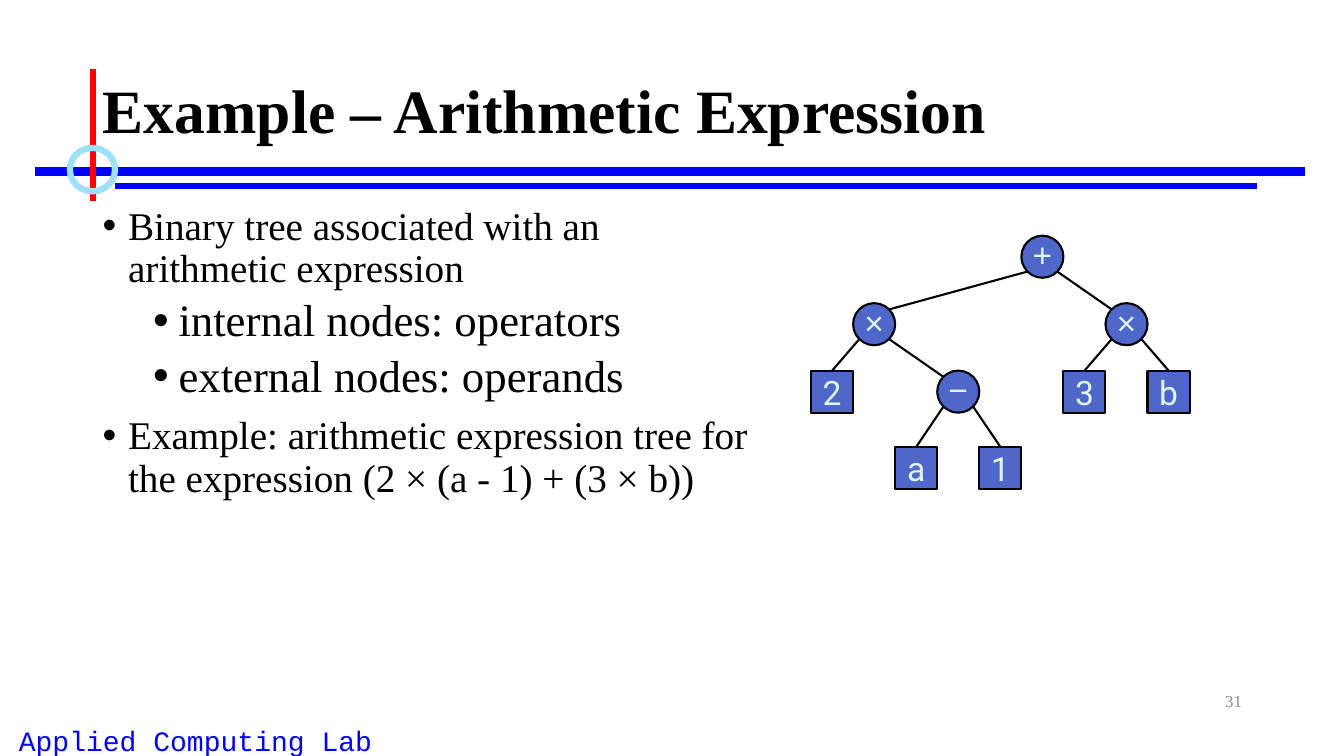
from lxml import etree
from pptx import Presentation
from pptx.dml.color import RGBColor
from pptx.enum.shapes import MSO_CONNECTOR, MSO_SHAPE
from pptx.enum.text import MSO_ANCHOR, MSO_AUTO_SIZE, PP_ALIGN
from pptx.oxml.ns import qn
from pptx.util import Cm, Pt

STRAIGHT = MSO_CONNECTOR.STRAIGHT
OVAL, RECT = MSO_SHAPE.OVAL, MSO_SHAPE.RECTANGLE
MIDDLE, TOP = MSO_ANCHOR.MIDDLE, MSO_ANCHOR.TOP
LEFT, CENTER, RIGHT = PP_ALIGN.LEFT, PP_ALIGN.CENTER, PP_ALIGN.RIGHT

SERIF, MONO = "Times New Roman", "Courier New"
BLACK, BLUE, RED, SKY = "000000", "0000FF", "FF0000", "9EE0F8"
NODE_FILL, NODE_TEXT, GREY = "4E67C8", "DFF5EF", "8C8C8C"

# text, level
BULLETS = [
    ("Binary tree associated with an arithmetic expression", 0),
    ("internal nodes: operators", 1),
    ("external nodes: operands", 1),
    ("Example: arithmetic expression tree for the expression "
     "(2 × (a - 1) + (3 × b))", 0),
]
# (label, column, row, children)
TREE = ("+", 5, 0, [
    ("×", 1, 1, [
        ("2", 0, 2, []),
        ("−", 3, 2, [("a", 2, 3, []), ("1", 4, 3, [])]),
    ]),
    ("×", 7, 1, [("3", 6, 2, []), ("b", 8, 2, [])]),
])
ROW_TOPS = [0, 1.7, 3.4, 5.32]
NODE = 1.06  # node size, also the column step


def rgb(color):
    return RGBColor.from_string(color)


def write(p, text, size=28, font=SERIF, color=BLACK, bold=False, align=LEFT):
    p.alignment = align
    r = p.add_run()
    r.text = text
    r.font.size, r.font.name, r.font.bold = Pt(size), font, bold
    r.font.color.rgb = rgb(color)


def add_text_box(s, box, anchor=TOP):
    tf = s.shapes.add_textbox(*map(Cm, box)).text_frame
    tf.word_wrap = True
    tf.vertical_anchor = anchor
    return tf


def add_line(s, x1, y1, x2, y2, color=BLACK, width=1.5):
    line = s.shapes.add_connector(STRAIGHT, Cm(x1), Cm(y1), Cm(x2), Cm(y2))
    line.line.color.rgb = rgb(color)
    line.line.width = Pt(width)
    etree.SubElement(line._element.spPr, qn("a:effectLst"))
    return line


def add_outlined(s, kind, box, color=BLACK, width=1.5, fill=None):
    sp = s.shapes.add_shape(kind, *map(Cm, box))
    sp.shadow.inherit = False
    if fill:
        sp.fill.solid()
        sp.fill.fore_color.rgb = rgb(fill)
    else:
        sp.fill.background()
    sp.line.color.rgb = rgb(color)
    sp.line.width = Pt(width)
    return sp


def add_frame(s, x, y):
    """Draw the rules and ring; (x, y) is where the main rules cross."""
    add_line(s, x - 1.45, y, x + 30.55, y, BLUE, 6)
    add_line(s, x + 0.56, y + 0.36, x + 29.33, y + 0.36, BLUE, 4.5)
    add_line(s, x, y - 2.59, x, y + 0.74, RED, 4.5)
    add_outlined(s, OVAL, (x - 0.58, y - 0.59, 1.14, 1.09), SKY, 4.5)


def add_title(s, text, box):
    title = s.shapes.title
    title.left, title.top, title.width, title.height = map(Cm, box)
    tf = title.text_frame
    tf.auto_size = MSO_AUTO_SIZE.NONE
    tf.vertical_anchor = MIDDLE
    p = tf.paragraphs[0]
    p.line_spacing = 0.9
    write(p, text, size=44, bold=True)


def add_bullets(s, items, box):
    tf = add_text_box(s, box)
    for i, (text, level) in enumerate(items):
        p = tf.add_paragraph() if i else tf.paragraphs[0]
        p.level = level
        p.line_spacing = 0.9
        p.space_before = Pt(5 if level else 10)
        write(p, text, size=32 if level else 28)
        pPr = p._p.get_or_add_pPr()
        pPr.set("marL", str(Cm(1.91 if level else 0.64)))
        pPr.set("indent", str(-Cm(0.64)))
        etree.SubElement(pPr, qn("a:buFont"), typeface="Arial")
        etree.SubElement(pPr, qn("a:buChar"), char="•")


def add_tree(s, node, x, y):
    """Draw a node and its subtrees, with the whole tree's corner at (x, y)."""
    label, col, row, children = node
    left, top = x + col * NODE, y + ROW_TOPS[row]
    sp = add_outlined(s, OVAL if children else RECT, (left, top, NODE, NODE),
                      fill=NODE_FILL)
    tf = sp.text_frame
    tf.word_wrap = False
    tf.vertical_anchor = MIDDLE
    if children:
        tf.margin_left = tf.margin_right = tf.margin_top = 0
        tf.margin_bottom = Cm(0.13)
    write(tf.paragraphs[0], label, size=24, color=NODE_TEXT, align=CENTER,
          font="Arial" if children else "Roboto")

    near, far = 0.15 * NODE, 0.85 * NODE  # diagonal points of a circle
    for child in children:
        child_sp = add_tree(s, child, x, y)
        goes_left = child[1] < col
        start_x, end_x = (near, far) if goes_left else (far, near)
        line = add_line(s, left + start_x, top + far,
                        x + child[1] * NODE + end_x,
                        y + ROW_TOPS[child[2]] + near)
        if not child[3]:
            line.end_connect(child_sp, 0)
    return sp


def add_footer(s, lab_box, number_box):
    write(add_text_box(s, lab_box).paragraphs[0], "Applied Computing Lab",
          size=20, font=MONO, color=BLUE, align=CENTER)
    write(add_text_box(s, number_box, MIDDLE).paragraphs[0], "31",
          size=12, color=GREY, align=RIGHT)


def main():
    prs = Presentation()
    prs.slide_width, prs.slide_height = Cm(33.87), Cm(19.05)
    s = prs.slides.add_slide(prs.slide_layouts[5])
    add_frame(s, 2.34, 4.32)
    add_title(s, "Example – Arithmetic Expression", (2.34, 1.02, 29.21, 3.68))
    add_bullets(s, BULLETS, (2.34, 5.08, 16.94, 12.09))
    add_tree(s, TREE, 20.44, 5.94)
    add_footer(s, (0, 18.11, 9.86, 0.94), (23.93, 17.15, 7.62, 1.02))
    prs.save("out.pptx")


if __name__ == "__main__":
    main()
